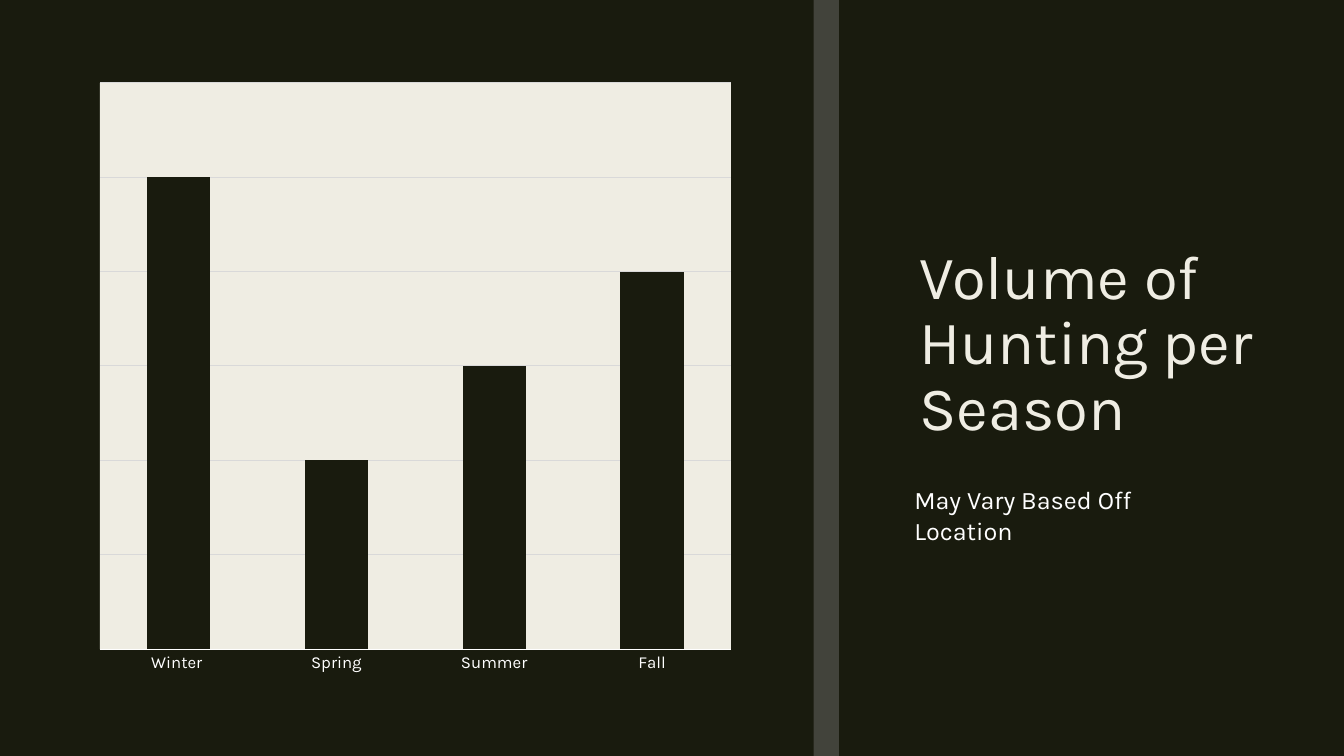
import pptx
import pptx.util
import pptx.chart.data
import pptx.dml.color
import pptx.enum.chart
import pptx.enum.shapes
import pptx.enum.text
import pptx.oxml.ns
from dataclasses import dataclass
from lxml import etree

Inches = pptx.util.Inches
Pt = pptx.util.Pt


@dataclass(frozen=True)
class Theme:
    font: str = "Karla"
    dark: str = "191B0E"
    cream: str = "EFEDE3"
    white: str = "FFFFFF"
    grid: str = "D9D9D9"
    band: str = "808080"
    title: int = 44
    note: int = 18
    label: int = 12
    base: int = 10


THEME = Theme()


def rgb(color):
    return pptx.dml.color.RGBColor.from_string(color)


def paint(fill, color):
    fill.solid()
    fill.fore_color.rgb = rgb(color)


def style(font, size, color):
    font.name = THEME.font
    font.size = Pt(size)
    font.color.rgb = rgb(color)


def stroke(line, color):
    line.color.rgb = rgb(color)
    line.width = Pt(0.75)


def add_text(slide, box, text, size, color, anchor="TOP", space=1.0, bottom=0.05):
    frame = slide.shapes.add_textbox(*map(Inches, box)).text_frame
    frame.word_wrap = True
    frame.vertical_anchor = pptx.enum.text.MSO_ANCHOR[anchor]
    frame.margin_bottom = Inches(bottom)
    para = frame.paragraphs[0]
    para.line_spacing = space
    run = para.add_run()
    run.text = text
    style(run.font, size, color)


def add_band(slide, box):
    band = slide.shapes.add_shape(
        pptx.enum.shapes.MSO_SHAPE.RECTANGLE, *map(Inches, box))
    band.shadow.inherit = False
    band.line.fill.background()
    paint(band.fill, THEME.band)
    # 40% opacity
    tint = band.fill._xPr.find(".//" + pptx.oxml.ns.qn("a:srgbClr"))
    etree.SubElement(tint, pptx.oxml.ns.qn("a:alpha"), val="40000")


def add_bars(slide, box):
    data = pptx.chart.data.CategoryChartData()
    data.categories = ["Winter ", "Spring", "Summer", "Fall"]
    data.add_series("Series 1", (100, 40, 60, 80))
    chart = slide.shapes.add_chart(
        pptx.enum.chart.XL_CHART_TYPE.COLUMN_STACKED,
        *map(Inches, box), data).chart
    chart.has_title = False
    chart.has_legend = False
    style(chart.font, THEME.base, THEME.white)

    # Bars
    plot = chart.plots[0]
    plot.vary_by_categories = False
    plot.gap_width = 150
    plot.overlap = 100
    paint(plot.series[0].format.fill, THEME.dark)

    # Axes
    seasons = chart.category_axis
    seasons.major_tick_mark = pptx.enum.chart.XL_TICK_MARK.NONE
    style(seasons.tick_labels.font, THEME.label, THEME.white)
    stroke(seasons.format.line, THEME.white)
    volume = chart.value_axis
    volume.visible = False
    volume.minimum_scale = 0
    volume.maximum_scale = 120
    volume.major_unit = 20
    volume.has_major_gridlines = True
    stroke(volume.major_gridlines.format.line, THEME.grid)

    # Plot background
    area = chart._chartSpace.chart.plotArea
    props = etree.SubElement(area, pptx.oxml.ns.qn("c:spPr"))
    solid = etree.SubElement(props, pptx.oxml.ns.qn("a:solidFill"))
    etree.SubElement(solid, pptx.oxml.ns.qn("a:srgbClr"), val=THEME.cream)


def add_side(slide, box):
    left, top, width, height = box
    # The larger bottom inset lifts the title above the note
    add_text(slide, box, "Volume of Hunting per Season", THEME.title,
             THEME.cream, anchor="MIDDLE", space=0.89, bottom=0.7)
    add_text(slide, (left - 0.05, top + 4.06, width - 0.27, 0.4),
             "May Vary Based Off Location", THEME.note, THEME.white)


def main():
    deck = pptx.Presentation()
    deck.slide_width = Inches(13.33)
    deck.slide_height = Inches(7.5)
    slide = deck.slides.add_slide(deck.slide_layouts[6])
    paint(slide.background.fill, THEME.dark)

    # Chart, divider, heading
    top, height = 0.7, 6.1
    add_band(slide, (8.07, 0, 0.25, 7.5))
    add_bars(slide, (0.86, top, 6.52, height))
    add_side(slide, (9.02, top, 3.61, height))
    deck.save("out.pptx")


if __name__ == "__main__":
    main()
